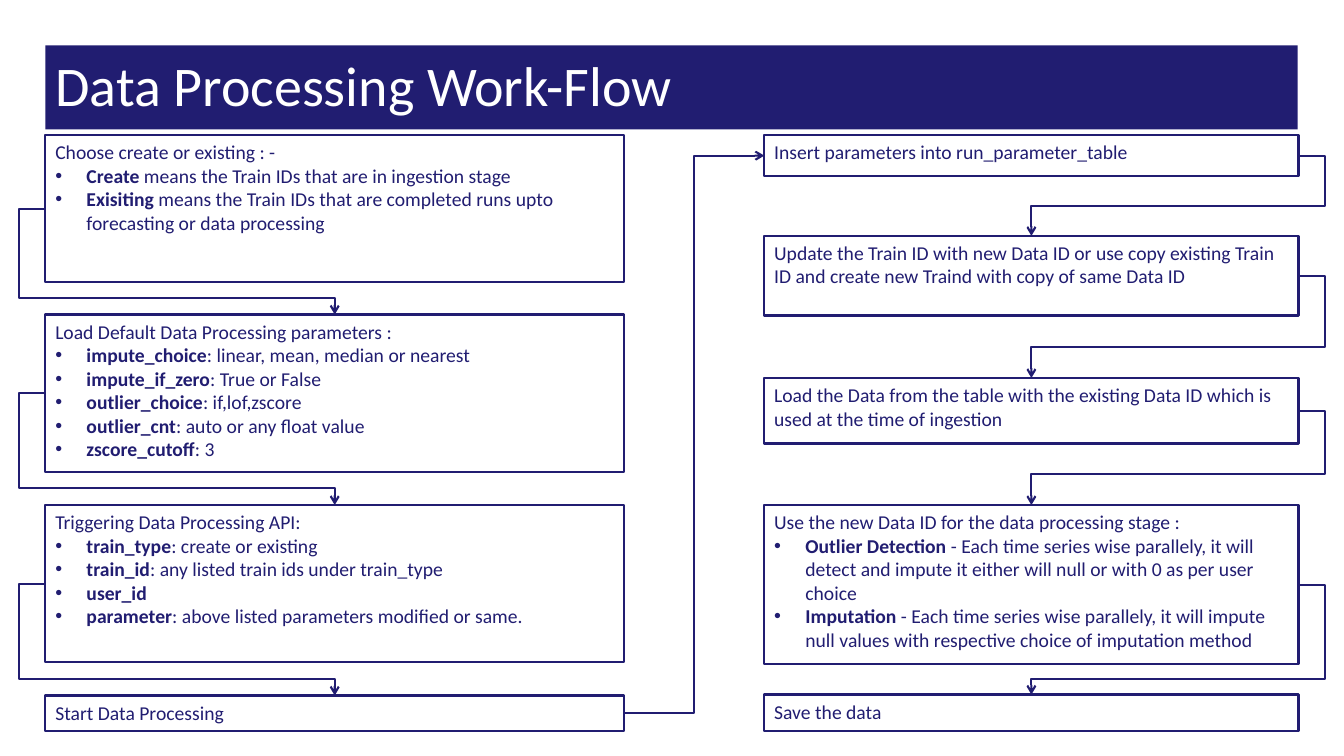
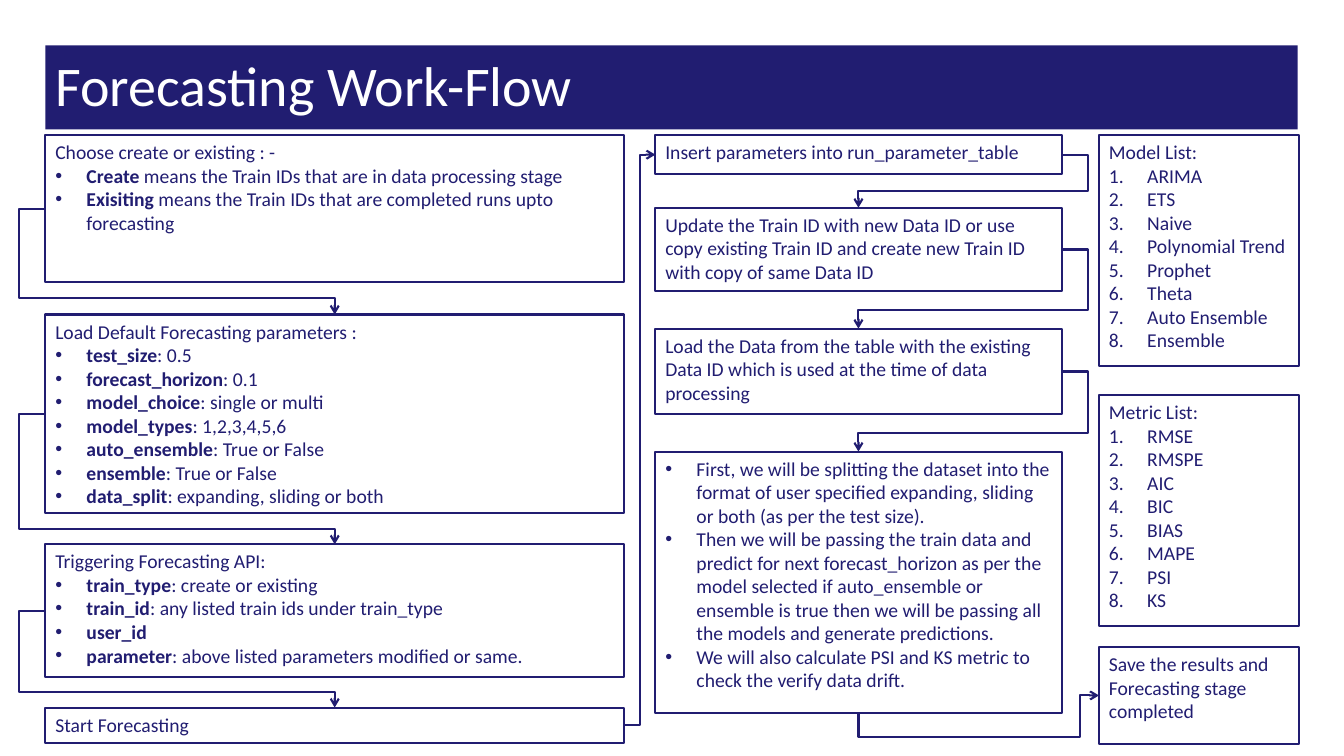
from itertools import pairwise

from pptx import Presentation
from pptx.dml.color import RGBColor
from pptx.enum.shapes import MSO_CONNECTOR as Connector, MSO_SHAPE as Preset
from pptx.enum.text import MSO_ANCHOR as Anchor, MSO_AUTO_SIZE as AutoSize, PP_ALIGN as Align
from pptx.oxml.ns import qn
from pptx.oxml.xmlchemy import OxmlElement as make_element
from pptx.util import Inches, Pt

COLORS = {"navy": "211D71", "white": "FFFFFF"}
TOP, LEFT, BOTTOM, RIGHT = range(4)
BULLETS = ("a:buChar", {"char": "•"}, 0.31)
NUMBERS = ("a:buAutoNum", {"type": "arabicPeriod"}, 0.38)


def color(name):
    return RGBColor.from_string(COLORS[name])


def add_child(parent, tag, **attributes):
    child = make_element(tag)
    for name, value in attributes.items():
        child.set(name, value)
    parent.append(child)


class WorkflowDeck:
    """Holds the shared style and the slide being filled."""

    font = "Calibri"
    line_width = 1.5
    bulge = 0.26

    def __init__(self):
        self.deck = Presentation()
        self.deck.slide_width = Inches(13.33)
        self.deck.slide_height = Inches(7.5)
        self.page = None

    def style(self, paragraph, size, name):
        paragraph.alignment = Align.LEFT
        paragraph.font.name = self.font
        paragraph.font.size = Pt(size)
        paragraph.font.color.rgb = color(name)

    def new_page(self, title):
        self.page = self.deck.slides.add_slide(self.deck.slide_layouts[5])
        band = self.page.shapes.title
        band.left, band.top = Inches(0.45), Inches(0.45)
        band.width, band.height = Inches(12.42), Inches(0.77)
        band.fill.solid()
        band.fill.fore_color.rgb = color("navy")
        frame = band.text_frame
        frame.text = title
        frame.vertical_anchor = Anchor.TOP
        frame.auto_size = AutoSize.SHAPE_TO_FIT_TEXT
        self.style(frame.paragraphs[0], 40, "white")

    def box(self, left, top, width, height, heading, items=(), marker=BULLETS):
        """Outlined box: an optional heading, then (bold, plain) list items."""
        box = self.page.shapes.add_shape(
            Preset.RECTANGLE, *map(Inches, (left, top, width, height)))
        box.shadow.inherit = False
        box.fill.solid()
        box.fill.fore_color.rgb = color("white")
        box.line.color.rgb = color("navy")
        box.line.width = Pt(self.line_width)
        frame = box.text_frame
        frame.word_wrap = True
        frame.vertical_anchor = Anchor.TOP
        entries = [(("", heading), None)] if heading else []
        entries += [(item, marker) for item in items]
        for index, ((bold, plain), mark) in enumerate(entries):
            para = frame.add_paragraph() if index else frame.paragraphs[0]
            if mark:
                self.mark(para, *mark)
            self.style(para, 14, "navy")
            if bold:
                span = para.add_run()
                span.text = bold
                span.font.bold = True
            if plain:
                para.add_run().text = plain
        return box

    def mark(self, para, tag, attributes, indent):
        properties = para._p.get_or_add_pPr()
        properties.set("marL", str(Inches(indent)))
        properties.set("indent", str(-Inches(indent)))
        add_child(properties, "a:buFont", typeface="Arial")
        add_child(properties, tag, **attributes)

    def column(self, left, width, rows, loop_side=None):
        """Stack of boxes, each linked to the next round the given side."""
        boxes = [self.box(left, top, width, height, *content)
                 for top, height, *content in rows]
        if loop_side is not None:
            for upper, lower in pairwise(boxes):
                self.loop(upper, loop_side, lower)
        return boxes

    def arrow(self, start, start_side, end, end_side):
        """Elbow arrow joined to the sides of two boxes."""
        arrow = self.page.shapes.add_connector(Connector.ELBOW, 0, 0, 0, 0)
        arrow.begin_connect(start, start_side)
        arrow.end_connect(end, end_side)
        arrow.line.color.rgb = color("navy")
        arrow.line.width = Pt(self.line_width)
        add_child(arrow.line._get_or_add_ln(), "a:tailEnd", type="arrow")
        add_child(arrow._element.spPr, "a:effectLst")
        return arrow

    def bend(self, arrow, first, second):
        """Give the arrow three corners, placed as shares of its run."""
        geometry = arrow._element.spPr.find(qn("a:prstGeom"))
        geometry.set("prst", "bentConnector4")
        guides = geometry.find(qn("a:avLst"))
        for name, share in (("adj1", first), ("adj2", second)):
            add_child(guides, "a:gd", name=name, fmla=f"val {round(share * 100000)}")

    def loop(self, upper, side, lower):
        """Leave one side, turn in the middle of the gap, enter from above."""
        arrow = self.arrow(upper, side, lower, TOP)
        turn = (upper.top + upper.height + lower.top) / 2
        self.bend(arrow, -Inches(self.bulge) / arrow.width,
                  (turn - arrow.begin_y) / arrow.height)

    def underpass(self, start, end):
        """Leave below, turn in the middle of the gap, enter from the left."""
        arrow = self.arrow(start, BOTTOM, end, LEFT)
        run, rise = arrow.width, arrow.height
        turn = (start.left + start.width + end.left) / 2
        self.bend(arrow, -Inches(0.24) / rise, (turn - arrow.begin_x) / run)
        # A quarter turn lets the path start downwards
        center_x, center_y = arrow.left + run // 2, arrow.top + rise // 2
        arrow.left, arrow.top = center_x - rise // 2, center_y - run // 2
        arrow.width, arrow.height = rise, run
        frame = arrow._element.spPr.find(qn("a:xfrm"))
        for name, value in (("rot", "5400000"), ("flipH", "1"), ("flipV", "1")):
            frame.set(name, value)


# Wording used on both slides
INSERT = "Insert parameters into run_parameter_table"
CHOOSE = "Choose create or existing : -"
TRIGGER_ITEMS = [
    ("train_type", ": create or existing"),
    ("train_id", ": any listed train ids under train_type"),
    ("user_id", ""),
    ("parameter", ": above listed parameters modified or same."),
]


def choose_items(stage, runs):
    return [("Create", f" means the Train IDs that are in {stage} stage"),
            ("Exisiting", f" means the Train IDs that are completed runs upto {runs}")]


def plain_items(*texts):
    return [("", text) for text in texts]


def data_processing(deck):
    deck.new_page("Data Processing Work-Flow")
    # Left column: user choices
    choices = deck.column(0.45, 5.74, [
        (1.34, 1.46, CHOOSE,
         choose_items("ingestion", "forecasting or data processing")),
        (3.12, 1.56, "Load Default Data Processing parameters :", [
            ("impute_choice", ": linear, mean, median or nearest"),
            ("impute_if_zero", ": True or False"),
            ("outlier_choice", ": if,lof,zscore"),
            ("outlier_cnt", ": auto or any float value"),
            ("zscore_cutoff", ": 3"),
        ]),
        (5.01, 1.56, "Triggering Data Processing API:", TRIGGER_ITEMS),
        (6.9, 0.35, "Start Data Processing"),
    ], LEFT)
    # Right column: processing steps
    steps = deck.column(7.58, 5.3, [
        (1.34, 0.41, INSERT),
        (2.34, 0.79, "Update the Train ID with new Data ID or use copy existing "
                     "Train ID and create new Traind with copy of same Data ID"),
        (3.75, 0.65, "Load the Data from the table with the existing Data ID "
                     "which is used at the time of ingestion"),
        (5.01, 1.58, "Use the new Data ID for the data processing stage :", [
            ("Outlier Detection", " - Each time series wise parallely, it will detect "
             "and impute it either will null or with 0 as per user choice"),
            ("Imputation", " - Each time series wise parallely, it will impute "
             "null values with respective choice of imputation method"),
        ]),
        (6.89, 0.36, "Save the data"),
    ], RIGHT)
    deck.arrow(choices[-1], RIGHT, steps[0], LEFT)


def forecasting(deck):
    deck.new_page("Forecasting Work-Flow")
    # Left column: user choices
    choices = deck.column(0.45, 5.74, [
        (1.34, 1.46, CHOOSE, choose_items("data processing", "forecasting")),
        (3.12, 1.97, "Load Default Forecasting parameters :", [
            ("test_size", ": 0.5"),
            ("forecast_horizon", ": 0.1"),
            ("model_choice", ": single or multi"),
            ("model_types", ": 1,2,3,4,5,6"),
            ("auto_ensemble", ": True or False"),
            ("ensemble", ": True or False"),
            ("data_split", ": expanding, sliding or both"),
        ]),
        (5.4, 1.32, "Triggering Forecasting API:", TRIGGER_ITEMS),
        (7.02, 0.35, "Start Forecasting"),
    ], LEFT)
    # Middle column: forecasting steps
    steps = deck.column(6.5, 4.03, [
        (1.34, 0.39, INSERT),
        (2.06, 0.83, "Update the Train ID with new Data ID or use copy existing "
                     "Train ID and create new Train ID with copy of same Data ID"),
        (3.26, 0.85, "Load the Data from the table with the existing Data ID "
                     "which is used at the time of data processing"),
        (4.48, 2.59, None, plain_items(
            "First, we will be splitting the dataset into the format of user "
            "specified expanding, sliding or both (as per the test size).",
            "Then we will be passing the train data and predict for next "
            "forecast_horizon as per the model selected if auto_ensemble or "
            "ensemble is true then we will be passing all the models and "
            "generate predictions.",
            "We will also calculate PSI and KS metric to check the verify data drift.",
        )),
    ], RIGHT)
    # Right column: reference lists and result
    results = deck.column(10.9, 1.98, [
        (1.34, 2.29, "Model List:", plain_items(
            "ARIMA", "ETS", "Naive", "Polynomial Trend", "Prophet", "Theta",
            "Auto Ensemble", "Ensemble"), NUMBERS),
        (3.92, 2.29, "Metric List:", plain_items(
            "RMSE", "RMSPE", "AIC", "BIC", "BIAS", "MAPE", "PSI", "KS"), NUMBERS),
        (6.42, 0.96, "Save the results and Forecasting stage completed"),
    ])
    deck.arrow(choices[-1], RIGHT, steps[0], LEFT)
    deck.underpass(steps[-1], results[-1])


def main():
    workflow = WorkflowDeck()
    data_processing(workflow)
    forecasting(workflow)
    workflow.deck.save("out.pptx")


if __name__ == "__main__":
    main()
